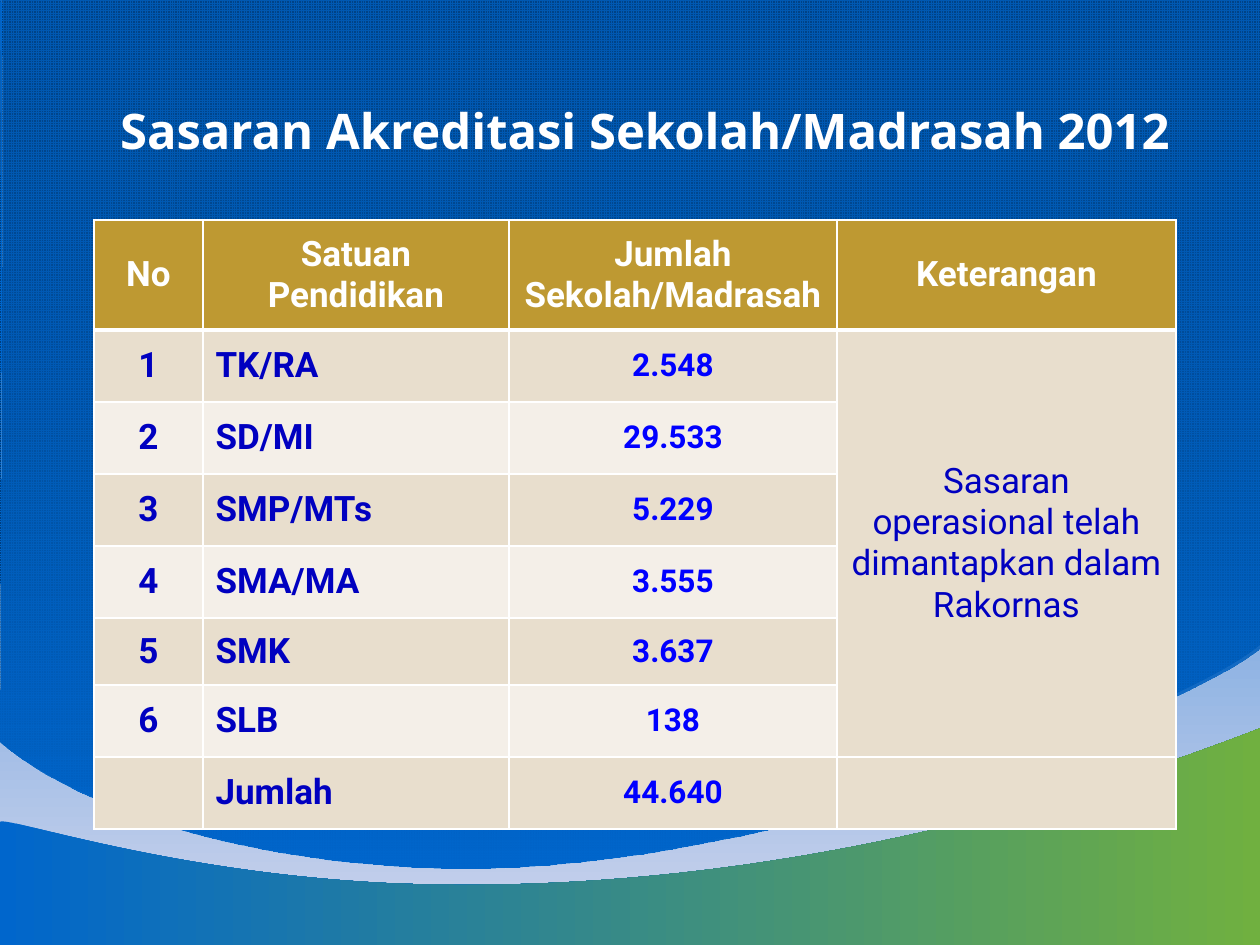
"""Build the slide with the 2012 school accreditation targets."""
import dataclasses

import lxml.etree
import pptx
import pptx.dml.color
import pptx.enum.dml
import pptx.enum.text
import pptx.oxml.ns
import pptx.util


@dataclasses.dataclass(frozen=True)
class Theme:
    blue: str = "0066CC"
    pattern_blue: str = "003D7B"
    green: str = "70B040"
    white: str = "FFFFFF"
    gold: str = "BE9932"
    sand: str = "E8DECD"
    cream: str = "F4EFE8"
    label: str = "0000C0"
    number: str = "0000FF"
    shade: str = "48000"
    shade_alpha: str = "46000"
    tint: str = "38400"
    title_font: str = "Open Sans"
    table_font: str = "Roboto"
    title_size: int = 28
    label_size: int = 20
    number_size: int = 18


THEME = Theme()
EMU_PER_PX = 914400 / 126


def px(length):
    return pptx.util.Emu(round(length * EMU_PER_PX))


def style_text(paragraph, font_name, size, color, bold, alignment):
    paragraph.alignment = alignment
    for run in paragraph.runs:
        run.font.name = font_name
        run.font.size = pptx.util.Pt(size)
        run.font.bold = bold
        run.font.color.rgb = pptx.dml.color.RGBColor.from_string(color)


presentation = pptx.Presentation()
presentation.slide_width = px(1260)
presentation.slide_height = px(945)
slide = presentation.slides.add_slide(presentation.slide_layouts[6])

waves = [
    ((-2, 740), [(13, 755), (139, 854), (431, 867), (723, 879), (1181, 714), (1261, 644)],
     [(1261, -2), (0, 0), (1, 3)]),
    ((0, 742), [(15, 757), (140, 856), (433, 868), (726, 881), (1182, 717), (1264, 645)],
     [(1264, 0), (1, 1), (3, 4)]),
    ((0, 822), [(4, 815), (164, 872), (386, 883), (607, 893), (911, 864), (1261, 728)],
     [(1260, 949), (-2, 948)]),
]
wave_shapes = []
for start, controls, corners in waves:
    builder = slide.shapes.build_freeform(px(start[0]), px(start[1]))
    builder.add_line_segments([(px(x), px(y)) for x, y in controls + corners], close=True)
    shape = builder.convert_to_shape()
    shape.shadow.inherit = False
    shape.line.fill.background()
    lines = list(shape._element.spPr.iter(pptx.oxml.ns.qn("a:lnTo")))
    for first in range(0, len(controls), 3):
        curve = lxml.etree.Element(pptx.oxml.ns.qn("a:cubicBezTo"))
        lines[first].addprevious(curve)
        for line in lines[first:first + 3]:
            curve.append(line[0])
            line.getparent().remove(line)
    wave_shapes.append(shape)

pattern_wave, shade_wave, green_wave = wave_shapes
pattern_wave.fill.patterned()
pattern_wave.fill.pattern = pptx.enum.dml.MSO_PATTERN.SMALL_GRID
pattern_wave.fill.fore_color.rgb = pptx.dml.color.RGBColor.from_string(THEME.blue)
pattern_wave.fill.back_color.rgb = pptx.dml.color.RGBColor.from_string(THEME.pattern_blue)

for fill, colors, angle in (
    (slide.background.fill, (THEME.blue, THEME.blue), 270),
    (shade_wave.fill, (THEME.blue, THEME.blue), 270),
    (green_wave.fill, (THEME.blue, THEME.green), 0),
):
    fill.gradient()
    fill.gradient_angle = angle
    for stop, color in zip(fill.gradient_stops, colors):
        stop.color.rgb = pptx.dml.color.RGBColor.from_string(color)

color_tag = pptx.oxml.ns.qn("a:srgbClr")
top_color = next(shade_wave._element.spPr.iter(color_tag))
bottom_color = list(slide._element.cSld.iter(color_tag))[1]
for color_element, effect, value in (
    (top_color, "a:shade", THEME.shade),
    (top_color, "a:alpha", THEME.shade_alpha),
    (bottom_color, "a:tint", THEME.tint),
):
    lxml.etree.SubElement(color_element, pptx.oxml.ns.qn(effect), val=value)

center = pptx.enum.text.PP_ALIGN.CENTER
left = pptx.enum.text.PP_ALIGN.LEFT
title = slide.shapes.add_textbox(px(42), px(94), px(1218), px(72))
title.text_frame.word_wrap = True
title.text_frame.auto_size = pptx.enum.text.MSO_AUTO_SIZE.SHAPE_TO_FIT_TEXT
title.text_frame.text = "Sasaran Akreditasi Sekolah/Madrasah 2012 "
style_text(title.text_frame.paragraphs[0], THEME.title_font, THEME.title_size,
           THEME.white, True, center)

rows = [
    ("No", "Satuan Pendidikan", "Jumlah Sekolah/Madrasah", "Keterangan"),
    ("1", "TK/RA", "2.548", "Sasaran operasional telah dimantapkan dalam Rakornas"),
    ("2", "SD/MI", "29.533", ""),
    ("3", "SMP/MTs", "5.229", ""),
    ("4", "SMA/MA", "3.555", ""),
    ("5", "SMK", "3.637", ""),
    ("6", "SLB", "138", ""),
    ("", "Jumlah", "44.640", ""),
]
column_widths = (109, 306, 328, 339)
row_heights = (110, 72, 72, 72, 72, 67, 72, 72)
table = slide.shapes.add_table(len(rows), len(column_widths), px(94), px(220),
                               px(sum(column_widths)), px(sum(row_heights))).table
for column, width in zip(table.columns, column_widths):
    column.width = px(width)
for row, height in zip(table.rows, row_heights):
    row.height = px(height)
table.cell(1, 3).merge(table.cell(6, 3))

for row_index, texts in enumerate(rows):
    for column_index, text in enumerate(texts):
        cell = table.cell(row_index, column_index)
        is_header = row_index == 0
        is_number = column_index == 2 and not is_header
        is_note = column_index == 3 and not is_header
        fill_color = THEME.sand if row_index % 2 or cell.is_spanned else THEME.cream
        cell.fill.solid()
        cell.fill.fore_color.rgb = pptx.dml.color.RGBColor.from_string(
            THEME.gold if is_header else fill_color)
        cell.vertical_anchor = pptx.enum.text.MSO_ANCHOR.MIDDLE
        if is_number:
            cell.margin_left = cell.margin_right = cell.margin_top = cell.margin_bottom = 0
        if text:
            cell.text_frame.text = text
            text_color = THEME.number if is_number else THEME.label
            style_text(cell.text_frame.paragraphs[0], THEME.table_font,
                       THEME.number_size if is_number else THEME.label_size,
                       THEME.white if is_header else text_color, not is_note,
                       left if column_index == 1 and not is_header else center)
        properties = cell._tc.get_or_add_tcPr()
        for position, side in enumerate(("lnL", "lnR", "lnT", "lnB")):
            is_thick = (row_index, side) in ((0, "lnB"), (1, "lnT"))
            border = lxml.etree.Element(pptx.oxml.ns.qn("a:" + side),
                                        w=str(pptx.util.Pt(3 if is_thick else 1)))
            border_fill = lxml.etree.SubElement(border, pptx.oxml.ns.qn("a:solidFill"))
            lxml.etree.SubElement(border_fill, color_tag, val=THEME.white)
            properties.insert(position, border)

presentation.save("out.pptx")
